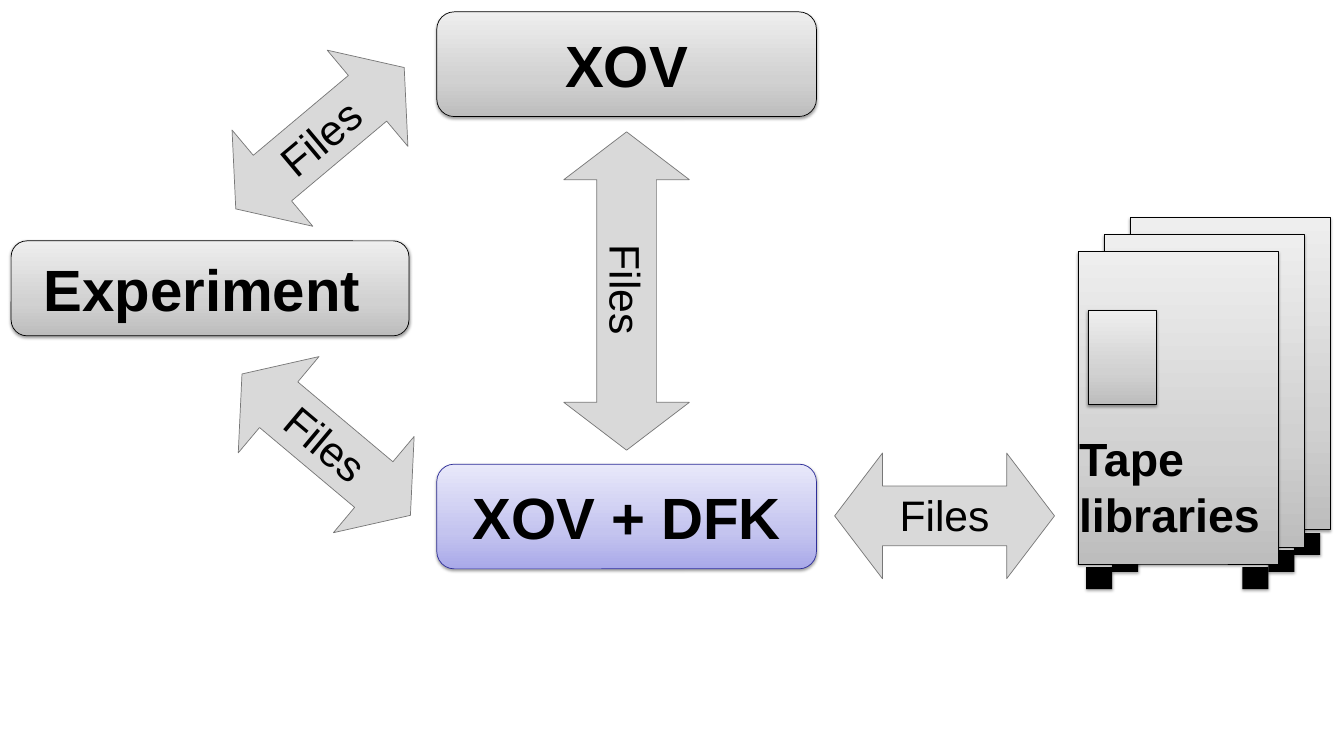
from collections import namedtuple
from lxml.etree import SubElement
from pptx import Presentation
from pptx.dml.color import RGBColor
from pptx.enum.shapes import MSO_SHAPE
from pptx.enum.text import MSO_ANCHOR, PP_ALIGN
from pptx.oxml.ns import qn
from pptx.util import Inches, Pt

# Boxes are measured in percent of the slide's width and height
Box = namedtuple("Box", "left top width height")
SLIDE_WIDTH, SLIDE_HEIGHT = Inches(19.26), Inches(10.83)
BLACK, ARROW_FILL, ARROW_LINE = "000000", "D9D9D9", "777777"
GREY = ("BDBDBD", "D1D1D1", "EEEEEE")
BLUE = ("A9A9E9", "C4C4EF", "E8E8FA")
STOPS = (0, 35000, 100000)


def color(value):
    return RGBColor.from_string(value)


def place(box):
    across, down = SLIDE_WIDTH / 100, SLIDE_HEIGHT / 100
    return [round(length) for length in (box.left * across, box.top * down,
                                         box.width * across, box.height * down)]


def inside(box, left, top, width, height):
    """Box given as shares of another box."""
    return Box(box.left + left * box.width, box.top + top * box.height,
               width * box.width, height * box.height)


def centered(x, y, width, height):
    return Box(x - width / 2, y - height / 2, width, height)


def write_text(shape, text, size, bold=False, align=PP_ALIGN.CENTER,
               anchor=MSO_ANCHOR.MIDDLE, wrap=False):
    frame = shape.text_frame
    frame.word_wrap = wrap
    frame.vertical_anchor = anchor
    frame.text = text
    for paragraph in frame.paragraphs:
        paragraph.alignment = align
        font = paragraph.runs[0].font
        font.name, font.size, font.bold = "Arial", Pt(size), bold
        font.color.rgb = color(BLACK)


def fill_gradient(shape, colors):
    shape.fill.gradient()
    shape.fill.gradient_angle = 90
    stop_list = shape.element.spPr.find(qn("a:gradFill")).find(qn("a:gsLst"))
    stop_list.clear()
    for position, value in zip(STOPS, colors):
        stop = SubElement(stop_list, qn("a:gs"), pos=str(position))
        SubElement(stop, qn("a:srgbClr"), val=value)


def add_shadow(shape, opacity, distance):
    effects = shape.element.spPr.find(qn("a:effectLst"))
    shadow = SubElement(effects, qn("a:outerShdw"), blurRad=str(Pt(3.1)),
                        dist=str(Pt(distance)), dir="5400000", rotWithShape="0")
    shade = SubElement(shadow, qn("a:srgbClr"), val=BLACK)
    SubElement(shade, qn("a:alpha"), val=str(opacity * 1000))


def add_block(slide, kind, box, fill, line=None):
    shape = slide.shapes.add_shape(kind, *place(box))
    if isinstance(fill, tuple):
        fill_gradient(shape, fill)
    else:
        shape.fill.solid()
        shape.fill.fore_color.rgb = color(fill)
    if line:
        shape.line.color.rgb = color(line)
        shape.line.width = Pt(0.75)
    else:
        shape.line.fill.background()
    shape.shadow.inherit = False
    return shape


def add_system(slide, box, name, fill=GREY, line=BLACK):
    shape = add_block(slide, MSO_SHAPE.ROUNDED_RECTANGLE, box, fill, line)
    add_shadow(shape, 38, 1.6)
    write_text(shape, name, 60, bold=True, wrap=True)


def add_files_arrow(slide, x, y, length, rotation):
    arrow = add_block(slide, MSO_SHAPE.LEFT_RIGHT_ARROW,
                      centered(x, y, length, 16.62), ARROW_FILL, ARROW_LINE)
    arrow.adjustments[0], arrow.adjustments[1] = 0.474, 0.381
    label = slide.shapes.add_textbox(*place(centered(x, y - 0.15, 7.79, 7.76)))
    write_text(label, "Files", 44)
    arrow.rotation = label.rotation = rotation


def add_library(slide, box):
    # Two feet behind the cabinet, then the cabinet and its door
    for left in (0.04, 0.82):
        foot = add_block(slide, MSO_SHAPE.RECTANGLE,
                         inside(box, left, 1.01, 0.13, 0.07), BLACK)
        add_shadow(foot, 35, 1.8)
    for part in (box, inside(box, 0.05, 0.19, 0.34, 0.3)):
        add_shadow(add_block(slide, MSO_SHAPE.RECTANGLE, part, GREY, BLACK), 38, 1.6)


def add_library_stack(slide, front, count=3):
    # Back to front, each cabinet one step up and to the right of the next
    for step in reversed(range(count)):
        add_library(slide, front._replace(left=front.left + 1.93 * step,
                                          top=front.top - 2.26 * step))
    label = slide.shapes.add_textbox(*place(inside(front, -0.03, 0.56, 0.98, 0.38)))
    write_text(label, "Tape\nlibraries", 48, bold=True, align=PP_ALIGN.LEFT,
               anchor=MSO_ANCHOR.TOP)


presentation = Presentation()
presentation.slide_width, presentation.slide_height = SLIDE_WIDTH, SLIDE_HEIGHT
slide = presentation.slides.add_slide(presentation.slide_layouts[6])

# Systems
add_system(slide, Box(32.5, 61.4, 28.25, 13.85), "XOV + DFK", BLUE, "2F2F98")
add_system(slide, Box(0.83, 31.86, 29.6, 12.56), "Experiment ")
add_system(slide, Box(32.5, 1.57, 28.25, 13.85), "XOV")

# Tape libraries
add_library_stack(slide, Box(80.22, 33.24, 14.9, 41.37))

# File transfers: centre, length, rotation
for transfer in ((70.28, 68.24, 16.36, 0), (24.27, 58.82, 16.36, 40),
                 (23.81, 18.28, 16.36, 320), (46.62, 38.5, 23.68, 90)):
    add_files_arrow(slide, *transfer)

presentation.save("out.pptx")
